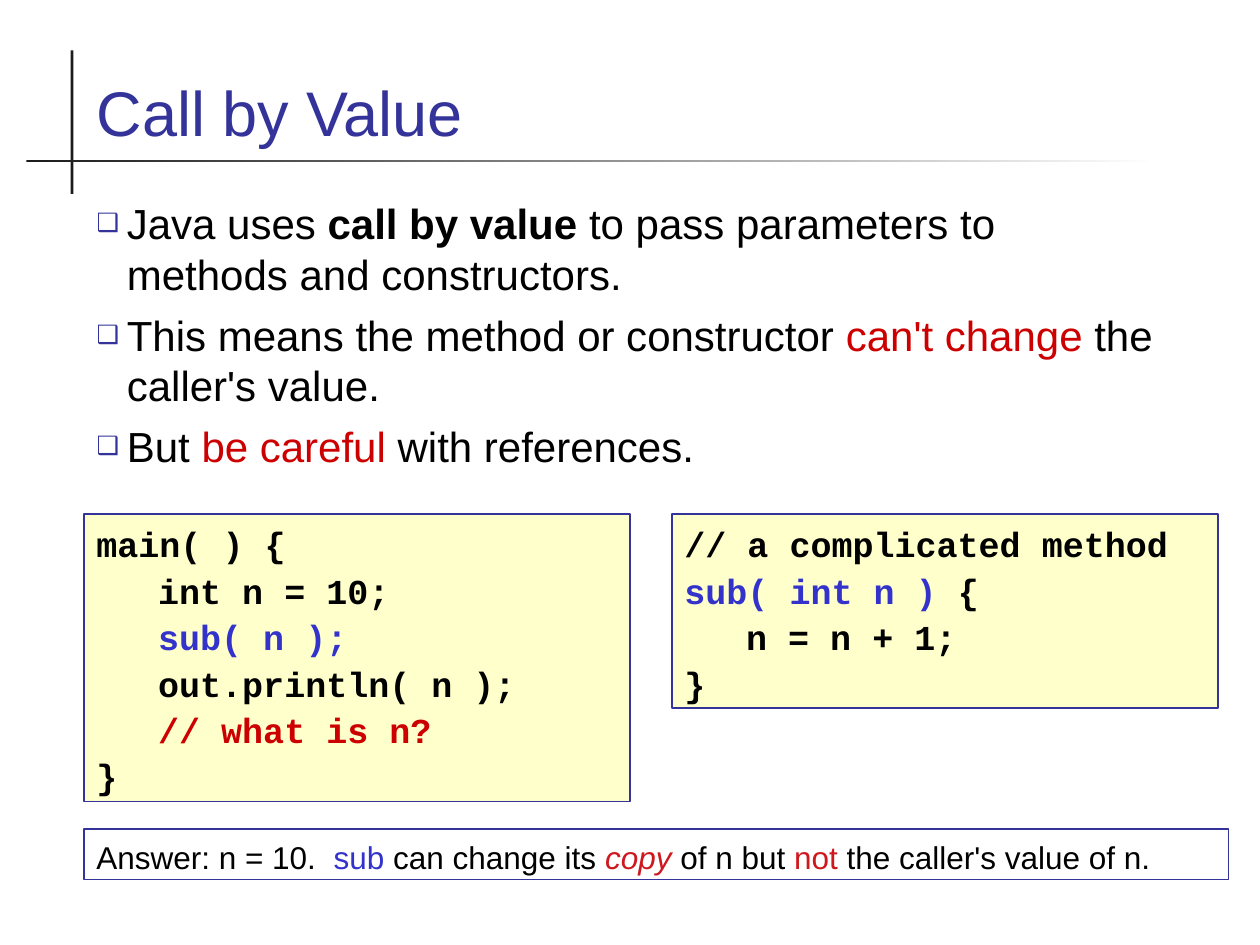
from lxml.etree import SubElement
from pptx import Presentation
from pptx.dml.color import RGBColor
from pptx.enum.shapes import MSO_SHAPE as Shape
from pptx.enum.text import MSO_ANCHOR as Anchor, MSO_AUTO_SIZE as AutoSize, PP_ALIGN as Align
from pptx.oxml.ns import qn
from pptx.util import Inches, Pt

WIDTH, HEIGHT = 10, 7.5
COLUMN, ROW = WIDTH / 30, HEIGHT / 100
LEFT, RIGHT = 2, 16  # first columns of the two halves
HALF, FULL = 13, 26  # widths in columns

COLORS = {
    "navy": "333399", "ink": "1C1C1C", "black": "000000", "white": "FFFFFF",
    "cream": "FFFFCC", "blue": "3333CC", "red": "CC0000", "scarlet": "CE181E",
}

# Each line is a list of spans: (text, colour, style)
POINTS = [
    [("Java uses ",), ("call by value", "black", "bold"),
     (" to pass parameters to methods and constructors.",)],
    [("This means the method or constructor ",), ("can't change", "red"),
     (" the caller's value.",)],
    [("But ",), ("be careful", "red"), (" with references.",)],
]
MAIN_CODE = [
    [("main( ) {",)],
    [("\tint n = 10;",)],
    [("\tsub( n );", "blue")],
    [("\tout.println( n );",)],
    [("\t// what is n?", "red")],
    [("}",)],
]
SUB_CODE = [
    [("// a complicated method",)],
    [("sub( int n )", "blue"), (" {",)],
    [("\tn = n + 1;",)],
    [("}",)],
]
ANSWER = [
    [("Answer: n = 10.  ",), ("sub", "blue"), (" can change its ",),
     ("copy", "scarlet", "italic"), (" of n but ",), ("not", "scarlet"),
     (" the caller's value of n.",)],
]


def color(name):
    return RGBColor.from_string(COLORS[name])


def grid(column, row, columns, rows):
    """Turn grid units into left, top, width and height."""
    return (Inches(column * COLUMN), Inches(row * ROW),
            Inches(columns * COLUMN), Inches(rows * ROW))


def move(holder, cell):
    holder.left, holder.top, holder.width, holder.height = grid(*cell)


def add_bullet(para):
    props = para._p.get_or_add_pPr()
    props.set("marL", str(Inches(0.24)))
    props.set("indent", str(-Inches(0.24)))
    tint = SubElement(props, qn("a:buClr"))
    SubElement(tint, qn("a:srgbClr"), val=COLORS["navy"])
    SubElement(props, qn("a:buSzPct"), val="60000")
    SubElement(props, qn("a:buChar"), char="❑")


def add_tab(para):
    tabs = SubElement(para._p.get_or_add_pPr(), qn("a:tabLst"))
    SubElement(tabs, qn("a:tab"), pos=str(Inches(0.49)), algn="l")


def add_span(para, text, tint="black", style=None):
    span = para.add_run()
    span.text = text
    span.font.color.rgb = color(tint)
    if style:
        setattr(span.font, style, True)


def write(frame, lines, size, font="Arial", bold=None, gap=0, prepare=None):
    """Fill a text frame with lines of coloured spans."""
    frame.word_wrap = True
    frame.auto_size = AutoSize.NONE
    frame.vertical_anchor = Anchor.TOP
    frame.margin_top = Inches(0.07)
    for index, spans in enumerate(lines):
        para = frame.add_paragraph() if index else frame.paragraphs[0]
        if prepare:
            prepare(para)
        para.alignment = Align.LEFT
        para.space_before = Pt(gap if index else 0)
        para.font.name, para.font.size, para.font.bold = font, Pt(size), bold
        for span in spans:
            add_span(para, *span)


def add_box(page, cell, fill=None):
    """Add a thinly outlined rectangle and return its text frame."""
    box = page.shapes.add_shape(Shape.RECTANGLE, *grid(*cell))
    box.shadow.inherit = False
    if fill:
        box.fill.solid()
        box.fill.fore_color.rgb = color(fill)
    else:
        box.fill.background()
    box.line.color.rgb = color("navy")
    box.line.width = Pt(0.75)
    return box.text_frame


def add_code(page, cell, lines):
    write(add_box(page, cell, "cream"), lines, 20, "Courier New", True, 2.5, add_tab)


def add_rule(page, cell, fade=False):
    """Add a thin bar, solid or fading out to the right."""
    rule = page.shapes.add_shape(Shape.RECTANGLE, *grid(*cell))
    rule.shadow.inherit = False
    rule.line.fill.background()
    if fade:
        rule.fill.gradient()
        rule.fill.gradient_angle = 0
        for stop, position, tint in zip(rule.fill.gradient_stops, (0, 1), ("ink", "white")):
            stop.position = position
            stop.color.rgb = color(tint)
    else:
        rule.fill.solid()
        rule.fill.fore_color.rgb = color("ink")


def main():
    deck = Presentation()
    deck.slide_width, deck.slide_height = Inches(WIDTH), Inches(HEIGHT)
    page = deck.slides.add_slide(deck.slide_layouts[1])
    title, body = page.placeholders

    # Crossing rules beside the title
    add_rule(page, (1.68, 5.33, 0.07, 15.2))
    add_rule(page, (0.63, 16.93, 26.94, 0.27), fade=True)

    # Title and bullet list
    move(title, (LEFT, 3.73, FULL, 12.67))
    write(title.text_frame, [[("Call by Value", "navy")]], 36)
    title.text_frame.vertical_anchor = Anchor.BOTTOM
    move(body, (LEFT, 20, FULL, 31))
    write(body.text_frame, POINTS, 24, gap=6, prepare=add_bullet)

    # Code side by side, answer below
    add_code(page, (LEFT, 54.4, HALF, 30.4), MAIN_CODE)
    add_code(page, (RIGHT, 54.4, HALF, 20.53), SUB_CODE)
    write(add_box(page, (LEFT, 87.73, 27.25, 5.33)), ANSWER, 18)

    deck.save("out.pptx")


if __name__ == "__main__":
    main()
